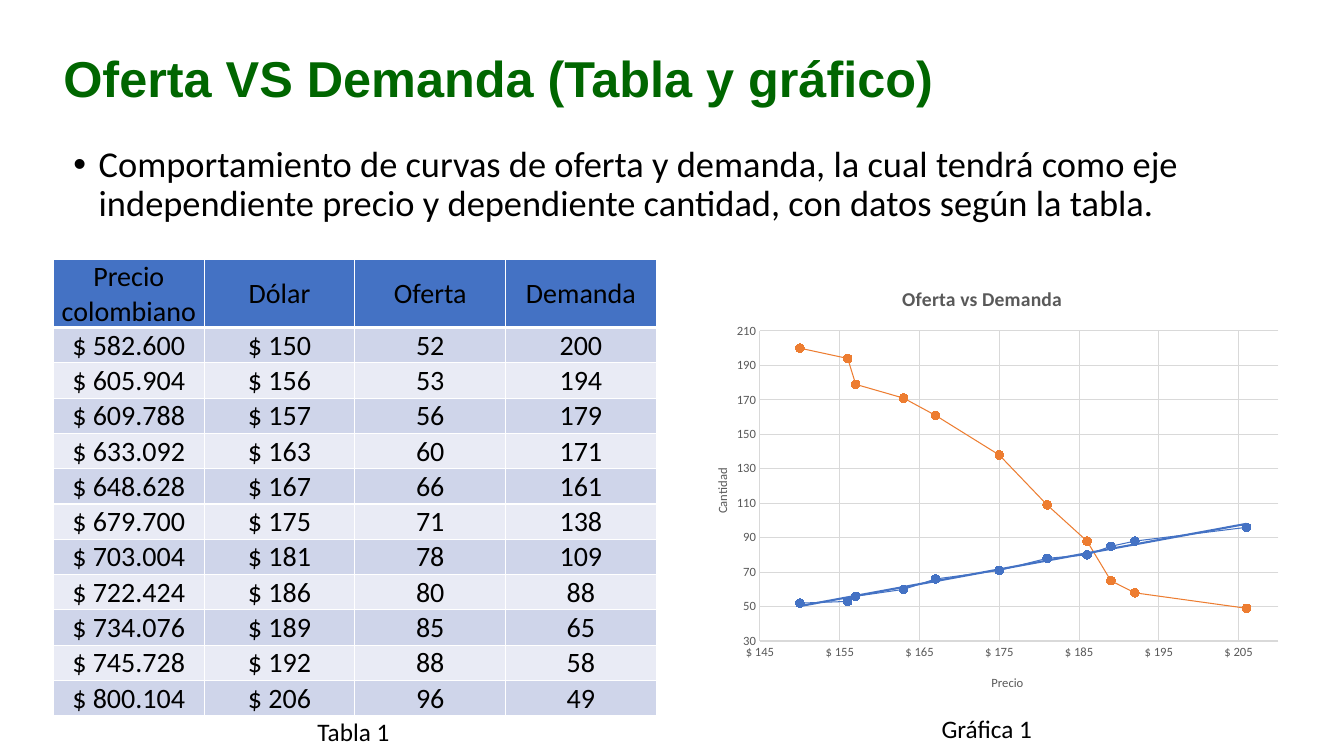
from lxml.etree import SubElement
from pptx import Presentation
from pptx.chart.data import XyChartData
from pptx.dml.color import RGBColor
from pptx.enum.chart import XL_CHART_TYPE, XL_MARKER_STYLE, XL_TICK_MARK
from pptx.enum.text import MSO_ANCHOR, PP_ALIGN
from pptx.oxml import parse_xml
from pptx.oxml.ns import nsdecls, qn
from pptx.util import Inches, Pt

BLACK = RGBColor(0, 0, 0)
GREEN = RGBColor(0, 0x66, 0)
BLUE = RGBColor(0x44, 0x72, 0xC4)
ORANGE = RGBColor(0xED, 0x7D, 0x31)
GRAY = RGBColor(0x59, 0x59, 0x59)
PALE = RGBColor(0xD9, 0xD9, 0xD9)
BANDS = [RGBColor(0xE9, 0xEB, 0xF5), RGBColor(0xCF, 0xD5, 0xEA)]

pesos = ["582.600", "605.904", "609.788", "633.092", "648.628", "679.700",
         "703.004", "722.424", "734.076", "745.728", "800.104"]
dollars = [150, 156, 157, 163, 167, 175, 181, 186, 189, 192, 206]
supply = [52, 53, 56, 60, 66, 71, 78, 80, 85, 88, 96]
demand = [200, 194, 179, 171, 161, 138, 109, 88, 65, 58, 49]

deck = Presentation()
deck.slide_width, deck.slide_height = Inches(13.33), Inches(7.5)
slide = deck.slides.add_slide(deck.slide_layouts[6])


def add_text(words, left, top, width, height, size, name="Calibri", color=BLACK):
    box = slide.shapes.add_textbox(
        Inches(left), Inches(top), Inches(width), Inches(height))
    box.text_frame.word_wrap = True
    para = box.text_frame.paragraphs[0]
    para.text = words
    para.font.size = Pt(size)
    para.font.name = name
    para.font.color.rgb = color
    return box.text_frame, para


def place(part, spot, **sizes):
    for old in part.findall(qn("c:layout")):
        part.remove(old)
    frame = parse_xml(f"<c:layout {nsdecls('c')}><c:manualLayout/></c:layout>")
    part.insert(spot, frame)
    for key, val in sizes.items():
        SubElement(frame[0], qn("c:" + key)).set("val", str(val))


frame, para = add_text("Oferta VS Demanda (Tabla y gráfico)",
                       0.53, 0.08, 8.86, 1.45, 36, "Arial", GREEN)
frame.vertical_anchor = MSO_ANCHOR.MIDDLE
para.font.bold = True
para.line_spacing = 0.9

frame, para = add_text(
    "Comportamiento de curvas de oferta y demanda, la cual tendrá como eje "
    "independiente precio y dependiente cantidad, con datos según la tabla.",
    0.63, 1.4, 11.78, 1.26, 26)
para.line_spacing = 0.9
para.space_before = Pt(10)
props = para._p.get_or_add_pPr()
props.set("marL", str(Inches(0.25)))
props.set("indent", str(Inches(-0.25)))
SubElement(props, qn("a:buFont")).set("typeface", "Arial")
SubElement(props, qn("a:buChar")).set("char", "•")

rows = [["Precio colombiano", "Dólar", "Oferta", "Demanda"]]
for peso, dollar, sold, bought in zip(pesos, dollars, supply, demand):
    rows.append([f"$ {peso}", f"$ {dollar}", str(sold), str(bought)])
table = slide.shapes.add_table(
    len(rows), 4, Inches(0.53), Inches(2.57), Inches(5.98), Inches(4.53)).table
for col in table.columns:
    col.width = Inches(1.495)
for i, row in enumerate(rows):
    table.rows[i].height = Inches(0.35 if i else 0.68)
    for j, words in enumerate(row):
        cell = table.cell(i, j)
        cell.text = words
        cell.vertical_anchor = MSO_ANCHOR.MIDDLE
        cell.margin_left = cell.margin_right = cell.margin_top = Inches(0.01)
        cell.margin_bottom = 0
        cell.fill.solid()
        cell.fill.fore_color.rgb = BANDS[i % 2] if i else BLUE
        para = cell.text_frame.paragraphs[0]
        para.alignment = PP_ALIGN.CENTER
        para.font.size = Pt(20)
        para.font.name = "Calibri"
        para.font.bold = False
        para.font.color.rgb = BLACK
        for k, side in enumerate(["lnL", "lnR", "lnT", "lnB"]):
            thick = (i == 0 and side == "lnB") or (i == 1 and side == "lnT")
            cell._tc.get_or_add_tcPr().insert(k, parse_xml(
                f'<a:{side} {nsdecls("a")} w="{Pt(3 if thick else 1)}"><a:solidFill>'
                f'<a:srgbClr val="FFFFFF"/></a:solidFill></a:{side}>'))

data = XyChartData()
for name, counts in [("Oferta", supply), ("Demanda", demand)]:
    line = data.add_series(name)
    for dollar, count in zip(dollars, counts):
        line.add_data_point(dollar, count)
chart = slide.shapes.add_chart(
    XL_CHART_TYPE.XY_SCATTER_LINES, Inches(6.82), Inches(2.57),
    Inches(5.98), Inches(4.46), data).chart
chart.has_legend = False
chart.font.name = "Calibri"
chart.font.size = Pt(10)
chart.plots[0].vary_by_categories = False
plot = chart._chartSpace.chart.plotArea
place(plot, 0, layoutTarget="inner", xMode="edge", yMode="edge",
      x=0.12, y=0.16, w=0.86, h=0.69)

for line, color in zip(chart.plots[0].series, [BLUE, ORANGE]):
    line.smooth = False
    line.format.line.color.rgb = color
    line.format.line.width = Pt(0.75)
    line.marker.style = XL_MARKER_STYLE.CIRCLE
    line.marker.size = 6
    line.marker.format.fill.solid()
    line.marker.format.fill.fore_color.rgb = color
    line.marker.format.line.color.rgb = color
trend = parse_xml(
    f'<c:trendline {nsdecls("c", "a")}><c:spPr><a:ln w="{Pt(1.5)}"><a:solidFill>'
    f'<a:srgbClr val="{BLUE}"/></a:solidFill></a:ln></c:spPr>'
    '<c:trendlineType val="linear"/><c:dispRSqr val="0"/><c:dispEq val="0"/>'
    '</c:trendline>')
chart.plots[0].series[0]._element.find(qn("c:xVal")).addprevious(trend)

across, up = chart.category_axis, chart.value_axis
for axis, low, step, form in [(across, 145, 10, '"$ "0'), (up, 30, 20, "0")]:
    axis.minimum_scale, axis.maximum_scale, axis.major_unit = low, 210, step
    axis.has_major_gridlines = True
    axis.major_gridlines.format.line.color.rgb = PALE
    axis.major_gridlines.format.line.width = Pt(0.75)
    axis.major_tick_mark = axis.minor_tick_mark = XL_TICK_MARK.NONE
    axis.tick_labels.number_format = form
    axis.tick_labels.number_format_is_linked = False
    axis.tick_labels.font.size = Pt(9)
    axis.tick_labels.font.name = "Calibri"
    axis.tick_labels.font.color.rgb = GRAY
across.format.line.color.rgb = PALE
across.format.line.width = Pt(1)
up.format.line.fill.background()

for title, words, size, x, y in [
        (chart.chart_title, "Oferta vs Demanda", 14, 0.35, 0.05),
        (across.axis_title, "Precio", 9, 0.5, 0.92),
        (up.axis_title, "Cantidad", 9, 0.04, 0.46)]:
    title.text_frame.text = words
    para = title.text_frame.paragraphs[0]
    para.font.size = Pt(size)
    para.font.name = "Calibri"
    para.font.bold = size == 14
    para.font.color.rgb = GRAY
    place(title._element, 1, xMode="edge", yMode="edge", x=x, y=y)
up.axis_title.text_frame._txBody.bodyPr.set("rot", "-5400000")

add_text("Tabla 1", 3.05, 7.06, 0.95, 0.4, 18)
add_text("Gráfica 1", 9.24, 7.03, 1.13, 0.4, 18)

deck.save("out.pptx")
